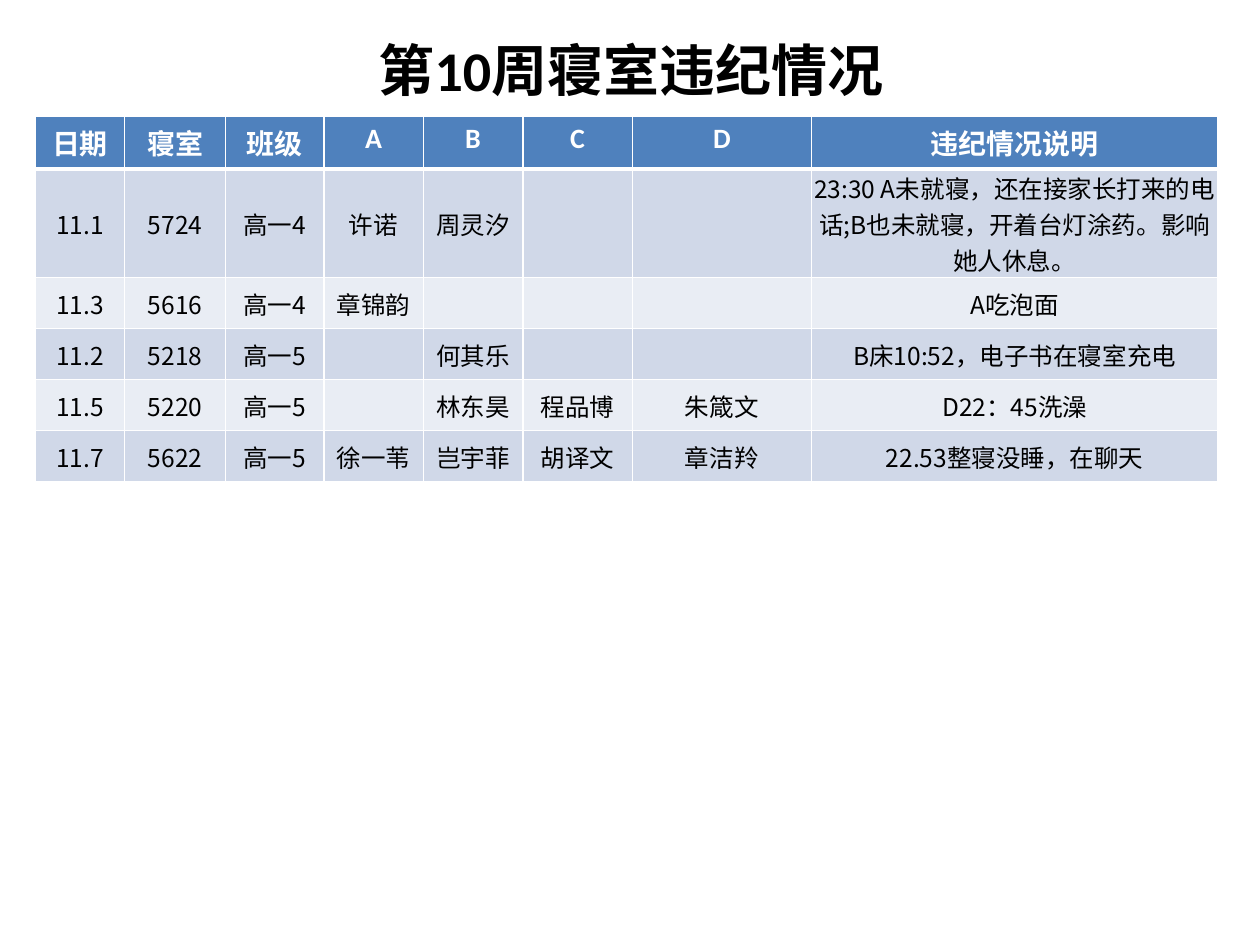
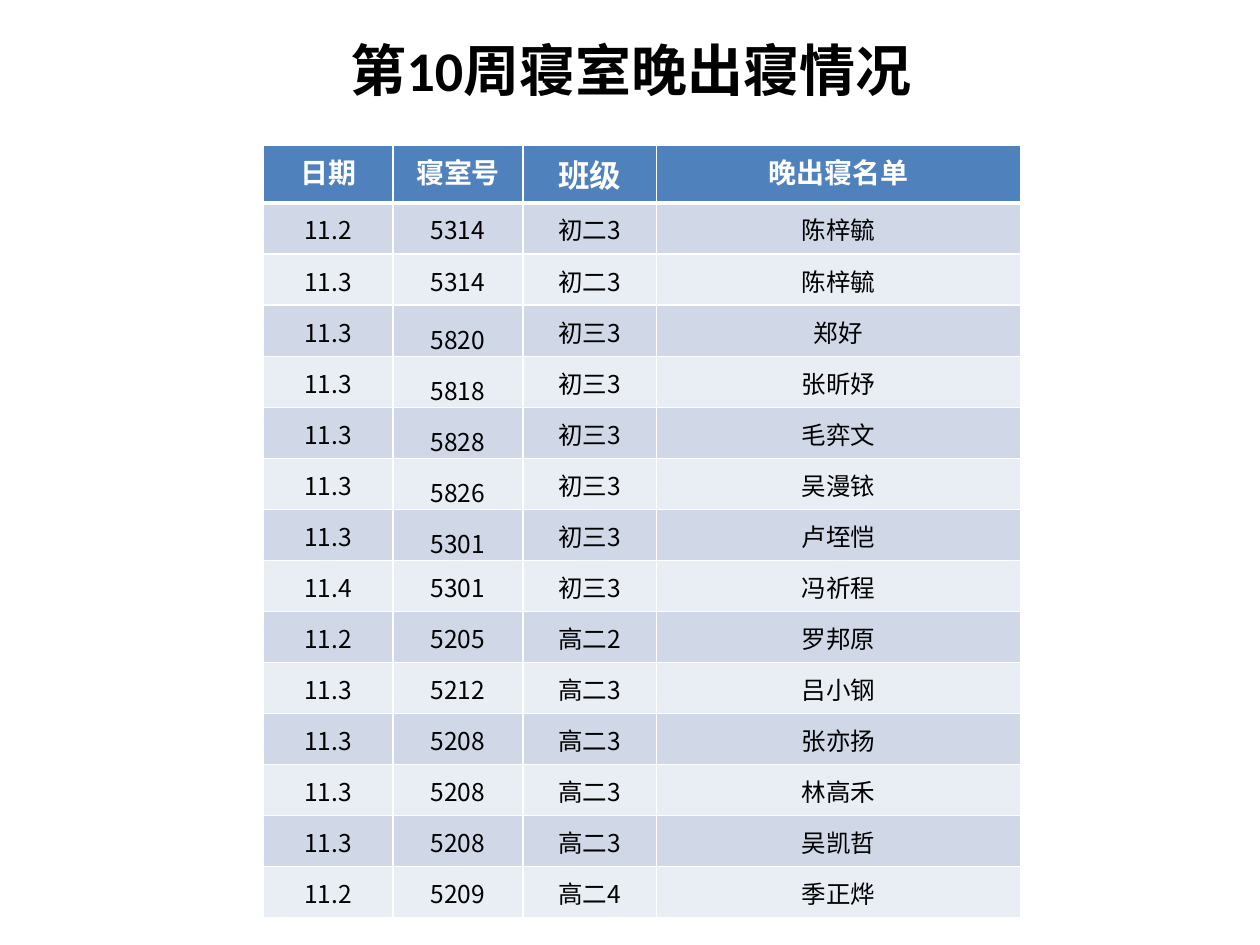
from lxml.etree import SubElement
from pptx import Presentation
from pptx.dml.color import RGBColor
from pptx.enum.text import MSO_ANCHOR, PP_ALIGN
from pptx.oxml import parse_xml
from pptx.oxml.ns import nsdecls, qn
from pptx.util import Inches, Pt

BLACK = RGBColor(0x00, 0x00, 0x00)
WHITE = RGBColor(0xFF, 0xFF, 0xFF)
HEADER_BLUE = RGBColor(0x4F, 0x81, 0xBD)
BANDS = (RGBColor(0xD0, 0xD8, 0xE8), RGBColor(0xE9, 0xED, 0xF4))
LATIN_FONT = "Calibri"
CHINESE_FONT = "Noto Sans CJK SC"
ROW_HEIGHT = Inches(6.08) // 15

VIOLATION_WIDTHS = (0.71, 0.8, 0.78, 0.79, 0.79, 0.87, 1.42, 3.23)
VIOLATIONS = (
    ("日期", "寝室", "班级", "A", "B", "C", "D", "违纪情况说明"),
    ("11.1", "5724", "高一4", "许诺", "周灵汐", "", "",
     "23:30 A未就寝，还在接家长打来的电话;B也未就寝，开着台灯涂药。影响她人休息。"),
    ("11.3", "5616", "高一4", "章锦韵", "", "", "", "A吃泡面"),
    ("11.2", "5218", "高一5", "", "何其乐", "", "", "B床10:52，电子书在寝室充电"),
    ("11.5", "5220", "高一5", "", "林东昊", "程品博", "朱箴文", "D22：45洗澡"),
    ("11.7", "5622", "高一5", "徐一苇", "岂宇菲", "胡译文", "章洁羚", "22.53整寝没睡，在聊天"),
)

LATE_WIDTHS = (1.03, 1.03, 1.06, 2.89)
LATE_LEAVERS = (
    ("日期", "寝室号", "班级", "晚出寝名单"),
    ("11.2", "5314", "初二3", "陈梓毓"),
    ("11.3", "5314", "初二3", "陈梓毓"),
    ("11.3", "5820", "初三3", "郑好"),
    ("11.3", "5818", "初三3", "张昕妤"),
    ("11.3", "5828", "初三3", "毛弈文"),
    ("11.3", "5826", "初三3", "吴漫铱"),
    ("11.3", "5301", "初三3", "卢垤恺"),
    ("11.4", "5301", "初三3", "冯祈程"),
    ("11.2", "5205", "高二2", "罗邦原"),
    ("11.3", "5212", "高二3", "吕小钢"),
    ("11.3", "5208", "高二3", "张亦扬"),
    ("11.3", "5208", "高二3", "林高禾"),
    ("11.3", "5208", "高二3", "吴凯哲"),
    ("11.2", "5209", "高二4", "季正烨"),
)


class DormReport:
    def __init__(self):
        self.deck = Presentation()
        self.deck.slide_width = Inches(10)
        self.deck.slide_height = Inches(7.5)
        self.page = None

    def add_page(self, title):
        self.page = self.deck.slides.add_slide(self.deck.slide_layouts[5])
        box = self.page.shapes.title
        box.left, box.top = Inches(0.51), Inches(0.02)
        box.width, box.height = Inches(9), Inches(1.05)
        box.text_frame.text = title
        box.text_frame.vertical_anchor = MSO_ANCHOR.MIDDLE
        self.style_text(box.text_frame, 32, LATIN_FONT, BLACK, True)

    def style_text(self, frame, size, font, color, bold):
        for para in frame.paragraphs:
            para.alignment = PP_ALIGN.CENTER
            for span in para.runs:
                span.font.size = Pt(size)
                span.font.bold = bold
                span.font.color.rgb = color
                span.font.name = font
                east_asian = SubElement(span.font._element, qn("a:ea"))
                east_asian.set("typeface", CHINESE_FONT)

    def add_table(self, left, top, widths, rows):
        frame = self.page.shapes.add_table(
            len(rows), len(widths), Inches(left), Inches(top),
            Inches(sum(widths)), ROW_HEIGHT * len(rows))
        table = frame.table
        for column, width in zip(table.columns, widths):
            column.width = Inches(width)
        for row_index, values in enumerate(rows):
            table.rows[row_index].height = ROW_HEIGHT
            for column_index, value in enumerate(values):
                cell = table.cell(row_index, column_index)
                cell.text_frame.text = value
                if row_index == 0:
                    self.style_header(cell)
                else:
                    self.style_body(cell, BANDS[(row_index - 1) % 2])
                self.add_borders(cell, row_index)
        return table

    def style_header(self, cell):
        self.fill_cell(cell, HEADER_BLUE)
        self.style_text(cell.text_frame, 16, LATIN_FONT, WHITE, True)

    def style_body(self, cell, color):
        self.fill_cell(cell, color)
        cell.vertical_anchor = MSO_ANCHOR.MIDDLE
        cell.margin_left = cell.margin_right = cell.margin_top = Inches(0.01)
        cell.margin_bottom = 0
        self.style_text(cell.text_frame, 14, CHINESE_FONT, BLACK, False)

    def fill_cell(self, cell, color):
        cell.fill.solid()
        cell.fill.fore_color.rgb = color

    def add_borders(self, cell, row_index):
        points = {"L": 1, "R": 1,
                  "T": 3 if row_index == 1 else 1,
                  "B": 3 if row_index == 0 else 1}
        properties = cell._tc.get_or_add_tcPr()
        for position, (side, width) in enumerate(points.items()):
            properties.insert(position, parse_xml(
                f'<a:ln{side} {nsdecls("a")} w="{Pt(width)}"><a:solidFill>'
                f'<a:srgbClr val="{WHITE}"/></a:solidFill></a:ln{side}>'))


def main():
    report = DormReport()

    report.add_page("第10周寝室违纪情况")
    report.add_table(0.28, 0.92, VIOLATION_WIDTHS, VIOLATIONS)

    report.add_page("第10周寝室晚出寝情况")
    late_table = report.add_table(2.09, 1.15, LATE_WIDTHS, LATE_LEAVERS)
    class_header = late_table.cell(0, 2).text_frame.paragraphs[0]
    class_header.runs[0].font.size = Pt(18)
    for row_index in range(3, 8):
        late_table.cell(row_index, 1).vertical_anchor = MSO_ANCHOR.BOTTOM

    report.deck.save("out.pptx")


if __name__ == "__main__":
    main()
